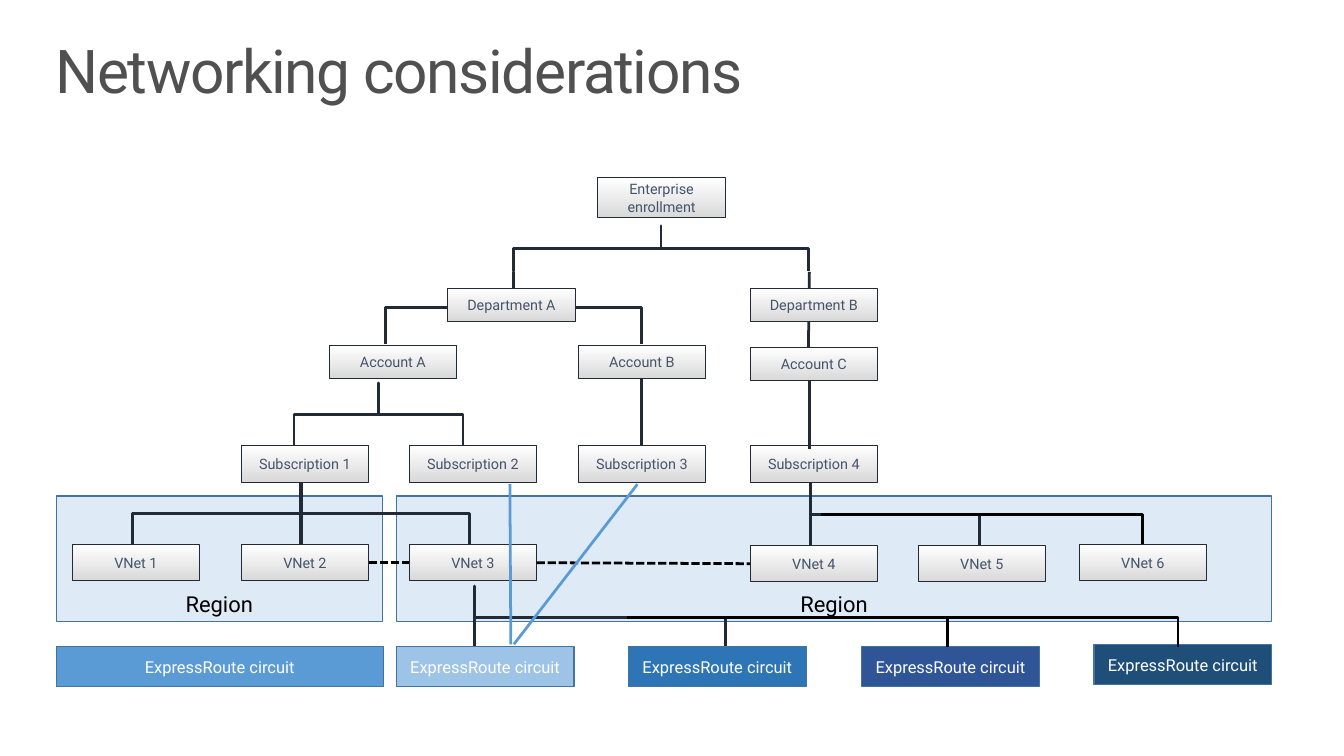
"""Builds the networking considerations slide with its enrollment hierarchy."""
import lxml.etree
import pptx
import pptx.dml.color
import pptx.enum.dml
import pptx.enum.shapes
import pptx.enum.text
import pptx.oxml.ns
import pptx.util

Pt = pptx.util.Pt
RGBColor = pptx.dml.color.RGBColor
Shape = pptx.enum.shapes.MSO_SHAPE
Connector = pptx.enum.shapes.MSO_CONNECTOR
Anchor = pptx.enum.text.MSO_ANCHOR
Align = pptx.enum.text.PP_ALIGN

BLACK = RGBColor(0x00, 0x00, 0x00)
WHITE = RGBColor(0xFF, 0xFF, 0xFF)
TITLE_GRAY = RGBColor(0x50, 0x50, 0x50)
BOX_GRAY = RGBColor(0xD9, 0xD9, 0xD9)
BOX_TEXT = RGBColor(0x44, 0x54, 0x6A)
INK = RGBColor(0x22, 0x2A, 0x35)
REGION_BLUE = RGBColor(0xDE, 0xEB, 0xF7)
EDGE_BLUE = RGBColor(0x43, 0x73, 0x9E)
BLUE = RGBColor(0x5B, 0x9B, 0xD5)
PALE_BLUE = RGBColor(0x9D, 0xC3, 0xE6)
STRONG_BLUE = RGBColor(0x2E, 0x75, 0xB6)
ROYAL_BLUE = RGBColor(0x2F, 0x55, 0x97)
NAVY = RGBColor(0x1F, 0x4E, 0x79)

BOX_WIDTH = 92.9
LOW, TALL = 23.8, 26.6
COLUMNS = [52.6, 175.7, 298.1, 421.2, 546.5, 668.9, 786.2]


class Diagram:
    """Holds the style and the current slide."""

    font = "Roboto"
    line_width = 2

    def __init__(self, slide):
        self.slide = slide

    def label(self, frame, text, size, color, align):
        frame.word_wrap = True
        paragraph = frame.paragraphs[0]
        paragraph.text = text
        paragraph.alignment = align
        paragraph.font.name = self.font
        paragraph.font.size = Pt(size)
        paragraph.font.color.rgb = color
        return paragraph

    def title(self, text, left, top, width, height):
        heading = self.slide.shapes.title
        heading.left, heading.top = Pt(left), Pt(top)
        heading.width, heading.height = Pt(width), Pt(height)
        frame = heading.text_frame
        frame.auto_size = pptx.enum.text.MSO_AUTO_SIZE.NONE
        frame.vertical_anchor = Anchor.TOP
        frame.margin_left = frame.margin_right = Pt(11.5)
        frame.margin_top = frame.margin_bottom = Pt(7.2)
        paragraph = self.label(frame, text, 44, TITLE_GRAY, Align.LEFT)
        paragraph.line_spacing = 0.9
        paragraph.runs[0]._r.get_or_add_rPr().set("spc", "-100")

    def shape(self, kind, left, top, width, height, edge, edge_width):
        item = self.slide.shapes.add_shape(
            kind, Pt(left), Pt(top), Pt(width), Pt(height))
        item.shadow.inherit = False
        item.line.color.rgb = edge
        item.line.width = Pt(edge_width)
        return item

    def panel(self, text, left, top, width, height, fill, size, color, anchor):
        panel = self.shape(Shape.RECTANGLE, left, top, width, height, EDGE_BLUE, 1)
        panel.fill.solid()
        panel.fill.fore_color.rgb = fill
        panel.text_frame.vertical_anchor = anchor
        self.label(panel.text_frame, text, size, color, Align.CENTER)

    def box(self, text, left, top, height):
        box = self.shape(Shape.RECTANGLE, left, top, BOX_WIDTH, height, INK, 0.75)
        box.fill.gradient()
        box.fill.gradient_angle = 270
        for stop, color in zip(box.fill.gradient_stops, (WHITE, BOX_GRAY)):
            stop.color.rgb = color
        box.text_frame.vertical_anchor = Anchor.MIDDLE
        self.label(box.text_frame, text, 10.5, BOX_TEXT, Align.CENTER)
        return box

    def brace(self, left, top, width, height, stem):
        brace = self.shape(
            Shape.RIGHT_BRACE, left + (width - height) / 2,
            top + (height - width) / 2, height, width, INK, self.line_width)
        brace.rotation = 270
        brace.fill.background()
        brace.adjustments[0] = 0
        brace.adjustments[1] = stem

    def line(self, start, end, color=INK, kind=Connector.STRAIGHT):
        line = self.slide.shapes.add_connector(
            kind, Pt(start[0]), Pt(start[1]), Pt(end[0]), Pt(end[1]))
        line.line.color.rgb = color
        line.line.width = Pt(self.line_width)
        lxml.etree.SubElement(
            line._element.spPr, pptx.oxml.ns.qn("a:effectLst"))
        return line

    def elbow(self, start, end):
        elbow = self.line(start, end, BLACK, Connector.ELBOW)
        elbow._element.spPr.prstGeom.set("prst", "bentConnector2")

    def link(self, first, first_side, second, second_side, color=INK):
        link = self.line((0, 0), (0, 0), color)
        link.begin_connect(first, first_side)
        link.end_connect(second, second_side)
        return link


def main():
    deck = pptx.Presentation()
    deck.slide_width, deck.slide_height = Pt(979.2), Pt(550.8)
    diagram = Diagram(deck.slides.add_slide(deck.slide_layouts[5]))
    diagram.title("Networking considerations", 28.8, 23, 921.6, 72)

    for left, width in ((41, 237.6), (288.7, 637.9)):
        diagram.panel("Region", left, 361.4, width, 91.4,
                      REGION_BLUE, 16, BLACK, Anchor.BOTTOM)

    for left, top, width, height, stem in (
            (374, 164.5, 215.3, 33.1, 0.5),
            (280.8, 198, 186.5, 52.6, 0.5),
            (214.2, 279, 123.1, 46.1, 0.5),
            (96.8, 351, 123.1, 46.1, 1),
            (219.2, 351, 123.1, 46.1, 0),
            (590.8, 351.7, 123.1, 46.1, 0),
            (345.6, 427, 182.9, 46.1, 0)):
        diagram.brace(left, top, width, height, stem)
    diagram.line((589.7, 198), (589, 253.4))
    diagram.line((590.4, 350.6), (590.4, 399.6))

    diagram.box("Enterprise enrollment", 435.6, 129.6, 28.8)
    diagram.box("Department A", 326.2, 210.2, LOW)
    diagram.box("Department B", COLUMNS[4], 210.2, LOW)
    diagram.box("Account A", 239.8, 252, LOW)
    account_b = diagram.box("Account B", COLUMNS[3], 252, LOW)
    diagram.box("Account C", COLUMNS[4], 253.4, LOW)
    subscriptions = [
        diagram.box(f"Subscription {number}", left, 324.7, TALL)
        for number, left in enumerate(COLUMNS[1:5], 1)]
    vnet_columns = COLUMNS[:3] + COLUMNS[4:]
    vnets = [
        diagram.box(f"VNet {number}", left, 397.4 if number in (4, 5) else 396.7, TALL)
        for number, left in enumerate(vnet_columns, 1)]

    for left, top, width, fill in (
            (41, 470.9, 238.3, BLUE),
            (288.7, 470.9, 129.6, PALE_BLUE),
            (457.9, 470.9, 129.6, STRONG_BLUE),
            (627.8, 470.9, 129.6, ROYAL_BLUE),
            (797, 469.4, 129.6, NAVY)):
        diagram.panel("ExpressRoute circuit", left, top, width, 29.5,
                      fill, 12, WHITE, Anchor.MIDDLE)

    diagram.link(account_b, 2, subscriptions[2], 0)
    diagram.line((589.7, 277.9), (589.7, 326.9))
    for vnet, neighbour in zip(vnets[1:3], vnets[2:4]):
        peering = diagram.link(vnet, 3, neighbour, 1, BLACK)
        peering.line.dash_style = pptx.enum.dml.MSO_LINE.SQUARE_DOT

    for start, end in (
            ((598.3, 375.1), (832.3, 396.7)),
            ((456.5, 450), (690.5, 471.6)),
            ((624.2, 450), (858.2, 471.6))):
        diagram.elbow(start, end)
    diagram.line((371.5, 352.8), (372.2, 469.4), BLUE)
    diagram.line((464.4, 352.8), (374.4, 469.4), BLUE)

    deck.save("out.pptx")


if __name__ == "__main__":
    main()
